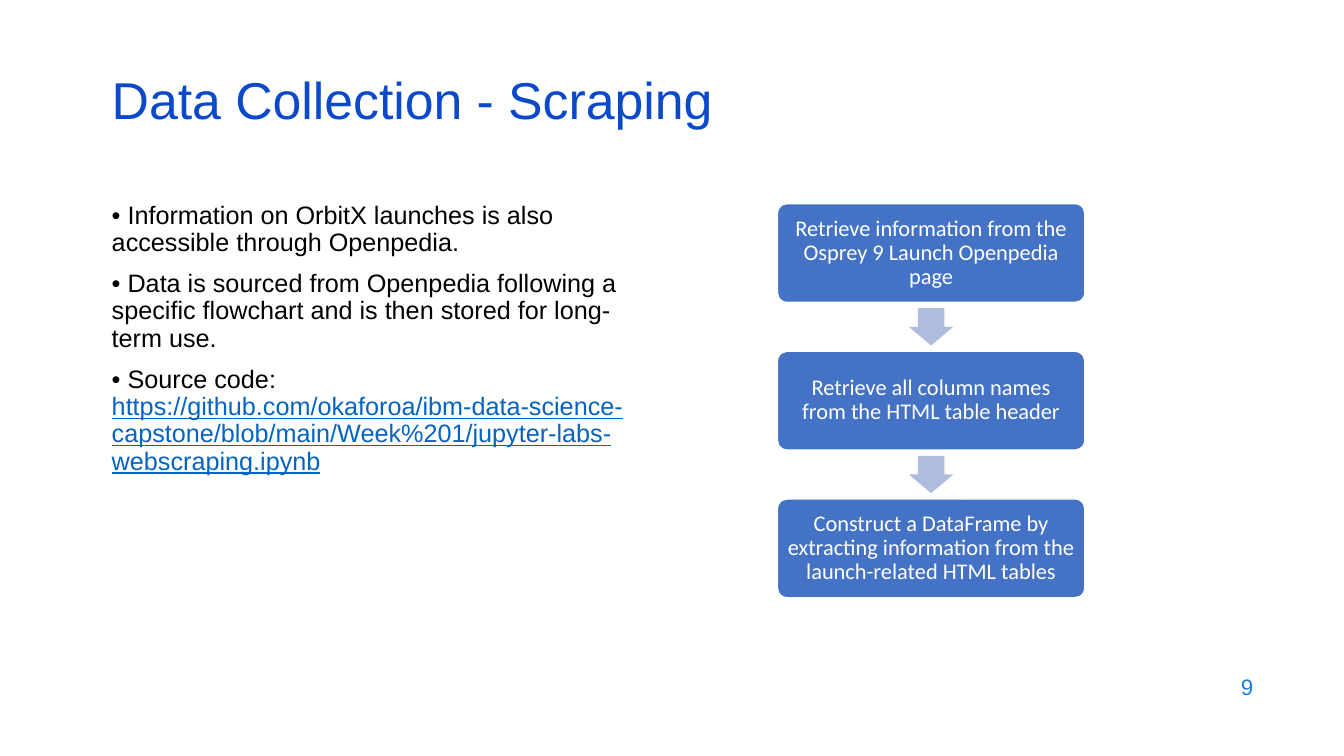
import pptx
import pptx.util
import pptx.dml.color
import pptx.enum.shapes
import pptx.enum.text

Inches = pptx.util.Inches
SHAPE = pptx.enum.shapes.MSO_SHAPE
ALIGN = pptx.enum.text.PP_ALIGN
ANCHOR = pptx.enum.text.MSO_ANCHOR

# Content
TITLE = "Data Collection - Scraping"
PAGE_NUMBER = "9"
URL = ("https://github.com/okaforoa/ibm-data-science-capstone/blob/main/"
       "Week%201/jupyter-labs-webscraping.ipynb")
# One list per paragraph, holding (text, is_link) runs
POINTS = [
    [("• Information on OrbitX launches is also accessible through Openpedia.", False)],
    [("• Data is sourced from Openpedia following a specific flowchart "
      "and is then stored for long-term use.", False)],
    [("• Source code: ", False), (URL, True)],
]
STEPS = [
    "Retrieve information from the Osprey 9 Launch Openpedia page",
    "Retrieve all column names from the HTML table header",
    "Construct a DataFrame by extracting information from the launch-related HTML tables",
]
COLORS = {"title": "0B49CB", "number": "1C7DDB", "body": "000000", "link": "0563C1",
          "step": "4472C4", "arrow": "B0BCDE", "white": "FFFFFF"}

# Flowchart geometry in inches
STEP_X, STEP_Y, STEP_W, STEP_H = 7.71, 2.02, 3.05, 0.98
PITCH = 1.465
ARROW_W, ARROW_H = 0.44, 0.37


def rgb(name):
    return pptx.dml.color.RGBColor.from_string(COLORS[name])


def write(s, paragraphs, size, color, font="Arial", align=ALIGN.LEFT,
          anchor=ANCHOR.MIDDLE, spacing=None, before=0, inset=None):
    """Fill a shape with paragraphs, each a list of (text, is_link) runs."""
    tf = s.text_frame
    tf.word_wrap = True
    tf.vertical_anchor = anchor
    if inset is not None:
        tf.margin_left = tf.margin_right = Inches(inset)
        tf.margin_top = tf.margin_bottom = Inches(inset)
    for i, runs in enumerate(paragraphs):
        p = tf.add_paragraph() if i else tf.paragraphs[0]
        p.alignment = align
        if spacing:
            p.line_spacing = spacing
        if i and before:
            p.space_before = pptx.util.Pt(before)
        for text, is_link in runs:
            r = p.add_run()
            r.text = text
            r.font.name = font
            r.font.size = pptx.util.Pt(size)
            r.font.color.rgb = rgb("link" if is_link else color)
            r.font.underline = is_link


def add_box(slide, x, y, w, h):
    return slide.shapes.add_textbox(Inches(x), Inches(y), Inches(w), Inches(h))


def add_solid(slide, kind, x, y, w, h, fill, line=None):
    s = slide.shapes.add_shape(kind, Inches(x), Inches(y), Inches(w), Inches(h))
    s.shadow.inherit = False
    s.fill.solid()
    s.fill.fore_color.rgb = rgb(fill)
    if line:
        s.line.color.rgb = rgb(line)
        s.line.width = pptx.util.Pt(1)
    else:
        s.line.fill.background()
    return s


def main():
    prs = pptx.Presentation()
    prs.slide_width, prs.slide_height = Inches(13.33), Inches(7.5)
    slide = prs.slides.add_slide(prs.slide_layouts[6])

    # Title, body text and page number
    write(add_box(slide, 1.01, 0.76, 11.5, 0.6), [[(TITLE, False)]], 37, "title",
          spacing=0.7)
    write(add_box(slide, 1.01, 1.96, 5.39, 4.47), POINTS, 18, "body",
          anchor=ANCHOR.TOP, spacing=0.9, before=10)
    write(add_box(slide, 9.53, 6.59, 3, 0.44), [[(PAGE_NUMBER, False)]], 16, "number",
          align=ALIGN.RIGHT)

    # Flowchart: steps with an arrow centred in each gap
    for i, step in enumerate(STEPS):
        y = STEP_Y + i * PITCH
        s = add_solid(slide, SHAPE.ROUNDED_RECTANGLE, STEP_X, y, STEP_W, STEP_H,
                      "step", line="white")
        s.adjustments[0] = 0.1
        write(s, [[(step, False)]], 16, "white", font="Calibri", align=ALIGN.CENTER,
              spacing=0.9, inset=0.07)
        if i < len(STEPS) - 1:
            gap = PITCH - STEP_H
            arrow = add_solid(slide, SHAPE.DOWN_ARROW, STEP_X + (STEP_W - ARROW_W) / 2,
                              y + STEP_H + (gap - ARROW_H) / 2, ARROW_W, ARROW_H, "arrow")
            arrow.adjustments[0] = 0.6
            arrow.adjustments[1] = 0.5

    prs.save("out.pptx")


if __name__ == "__main__":
    main()
